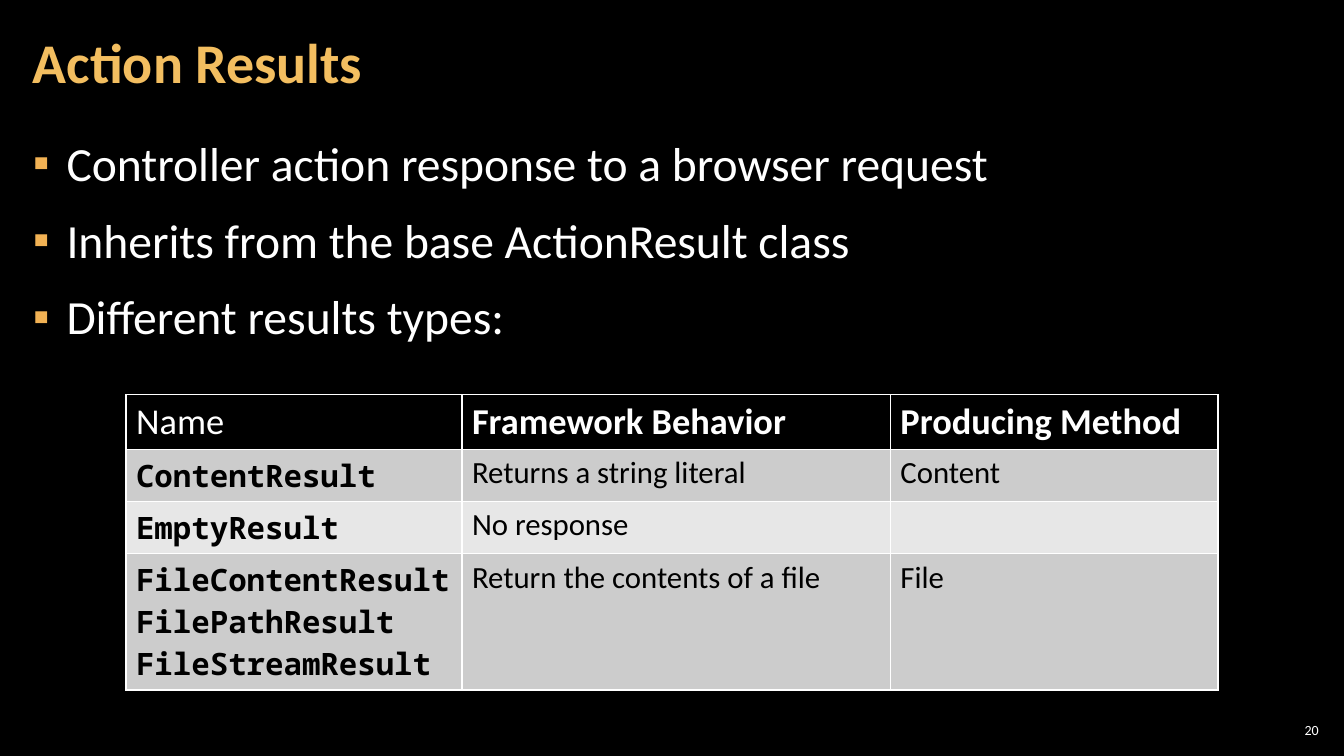
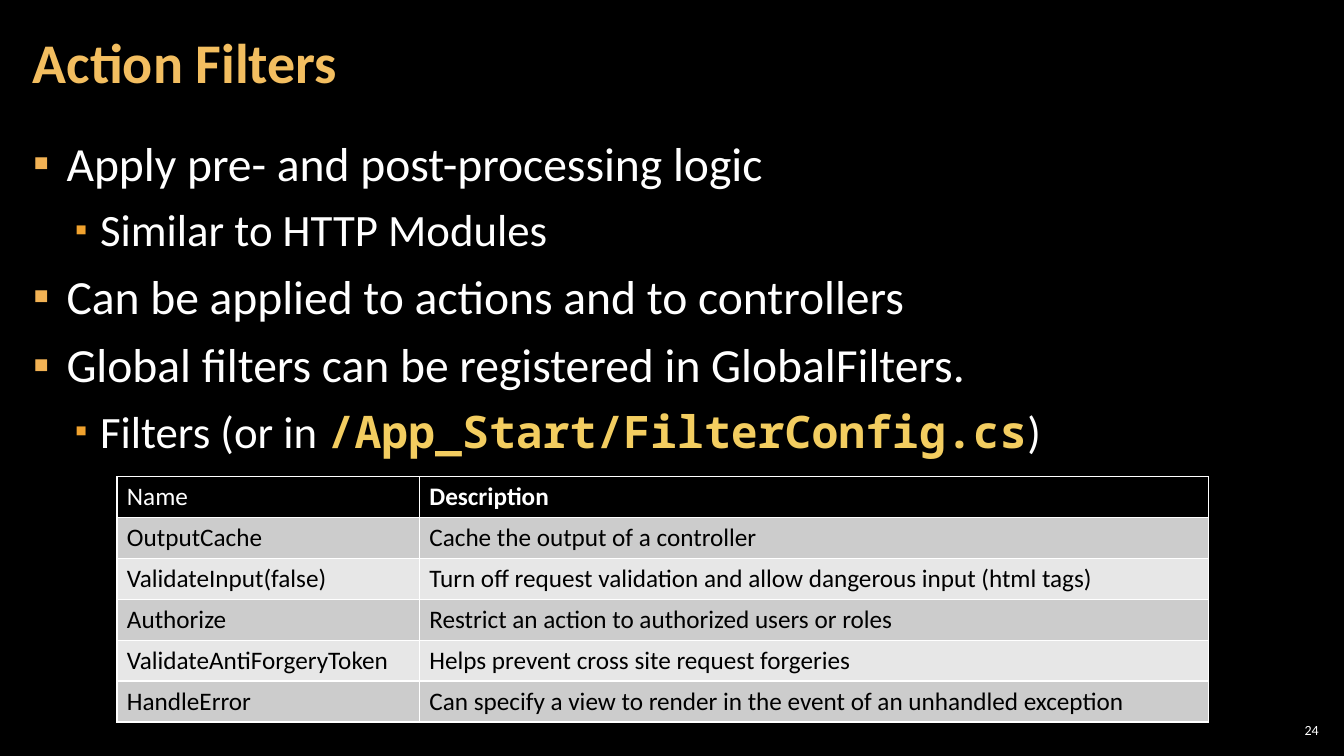
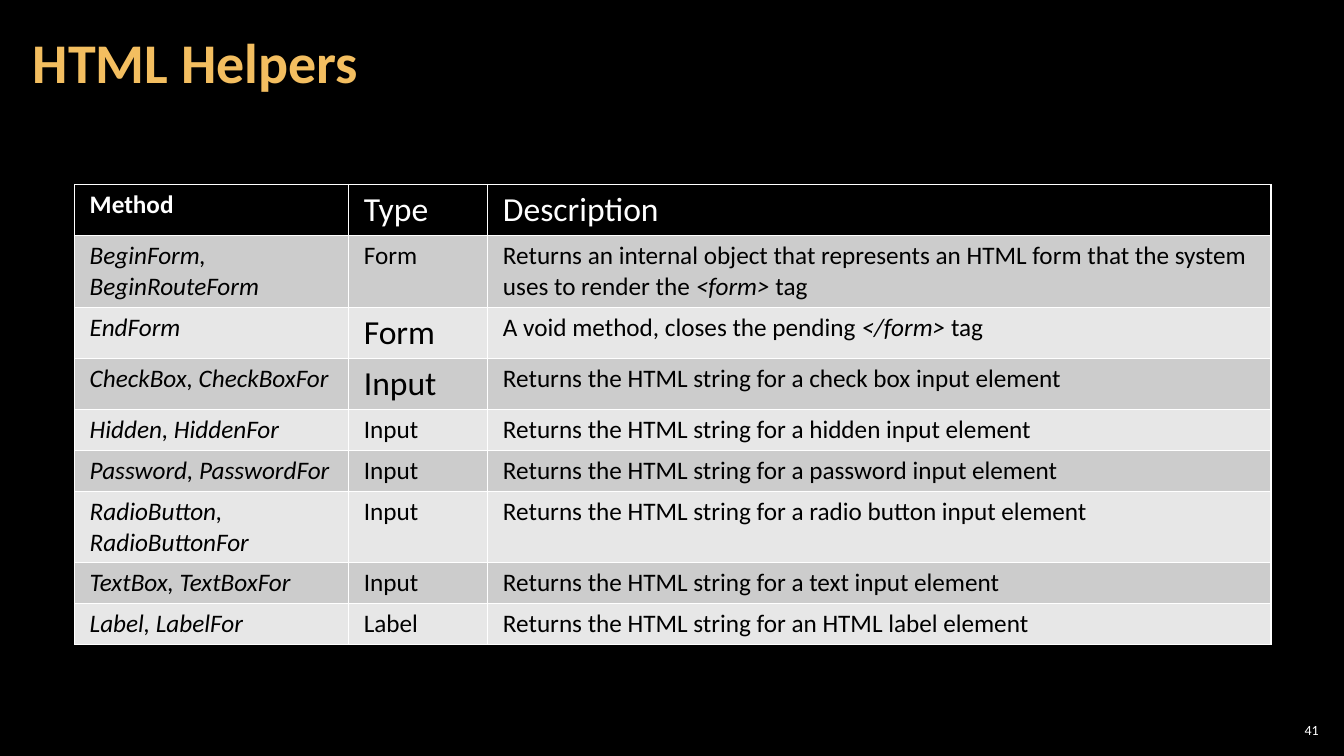
"""Build three slides about MVC action results, action filters and HTML helpers."""
from dataclasses import dataclass, replace

from lxml.etree import SubElement
from pptx import Presentation
from pptx.dml.color import RGBColor
from pptx.enum.text import MSO_ANCHOR as Anchor, MSO_AUTO_SIZE as AutoSize, PP_ALIGN as Align
from pptx.oxml.ns import qn
from pptx.util import Pt

BLACK, WHITE = "000000", "FFFFFF"
TITLE_GOLD, CODE_GOLD = "F3BE60", "F3CD60"
BANDS = ("CCCCCC", "E7E7E7")
SANS, MONO = "Calibri", "Noto Sans Mono"


@dataclass(frozen=True)
class Style:
    """Look of a run of text."""
    size: float
    color: str = WHITE
    bold: bool = False
    italic: bool = False
    font: str = SANS


@dataclass(frozen=True)
class Span:
    """Text in a single style."""
    text: str
    style: Style


Line = tuple[Span, ...]
Cell = tuple[Line, ...]


@dataclass(frozen=True)
class Level:
    """Indents, bullet and text size of a list level, in points."""
    margin: float
    hanging: float
    bullet_color: str
    bullet_percent: int
    style: Style


@dataclass(frozen=True)
class Bullet:
    """List item with its level."""
    level: int
    line: Line


@dataclass(frozen=True)
class Grid:
    """Table with its place and measures in points."""
    left: float
    top: float
    columns: tuple[float, ...]
    row_height: float
    rows: list[list[Cell]]
    padding: float = 7.2


@dataclass(frozen=True)
class Page:
    """Content of one slide."""
    title: str
    number: int
    grid: Grid
    bullets: tuple[Bullet, ...] = ()
    bullet_gap: float = 6


LEVELS = (
    Level(24, 24, "F2B254", 100, Style(34)),
    Level(48, 18, "F0A22E", 80, Style(32)),
)
TITLE = Style(40, TITLE_GOLD, bold=True)
NUMBER = Style(10)


def rgb(color: str) -> RGBColor:
    """Turn a hex string into a colour."""
    return RGBColor.from_string(color)


def cell(text: str, style: Style) -> Cell:
    """Make a cell with one paragraph per text line."""
    return tuple((Span(line, style),) for line in text.split("\n"))


def bullet(level: int, text: str) -> Bullet:
    """Make a list item in the plain style of its level."""
    return Bullet(level, (Span(text, LEVELS[level].style),))


def write(text_frame, lines: Cell) -> None:
    """Fill a text frame with styled paragraphs."""
    text_frame.text = "\n".join(line[0].text for line in lines)
    for paragraph, line in zip(text_frame.paragraphs, lines):
        for span in line[1:]:
            paragraph.add_run().text = span.text
        for run, span in zip(paragraph.runs, line):
            font = run.font
            font.name, font.size = span.style.font, Pt(span.style.size)
            font.bold, font.italic = span.style.bold, span.style.italic
            font.color.rgb = rgb(span.style.color)


def place(shape, left: float, top: float, width: float, height: float,
          inset: float, anchor: Anchor) -> None:
    """Set the place of a text shape and the layout of its frame."""
    shape.left, shape.top = Pt(left), Pt(top)
    shape.width, shape.height = Pt(width), Pt(height)
    frame = shape.text_frame
    frame.margin_left = frame.margin_right = Pt(inset)
    frame.margin_top = frame.margin_bottom = Pt(3)
    frame.vertical_anchor = anchor
    frame.word_wrap = True
    frame.auto_size = AutoSize.NONE


def add_title(slide, text: str) -> None:
    """Fill the title placeholder."""
    shape = slide.shapes.title
    place(shape, 15, 3, 754, 87, 8.5, Anchor.MIDDLE)
    write(shape.text_frame, cell(text, TITLE))
    paragraph = shape.text_frame.paragraphs[0]
    paragraph.alignment = Align.LEFT
    paragraph.line_spacing = 0.9


def add_number(slide, number: int) -> None:
    """Put the page number in the bottom right corner."""
    shape = slide.shapes.add_textbox(0, 0, 0, 0)
    place(shape, 911, 514, 34, 15, 3, Anchor.MIDDLE)
    write(shape.text_frame, cell(str(number), NUMBER))
    shape.text_frame.paragraphs[0].alignment = Align.RIGHT


def set_bullet(paragraph, level: Level) -> None:
    """Give a paragraph its indent and square bullet."""
    properties = paragraph._p.get_or_add_pPr()
    properties.set("marL", str(Pt(level.margin)))
    properties.set("indent", str(-Pt(level.hanging)))
    color = SubElement(properties, qn("a:buClr"))
    SubElement(color, qn("a:srgbClr"), val=level.bullet_color)
    SubElement(properties, qn("a:buSzPct"), val=str(level.bullet_percent * 1000))
    SubElement(properties, qn("a:buChar"), char="▪")


def add_bullets(slide, bullets: tuple[Bullet, ...], gap: float) -> None:
    """Fill the body placeholder with a two-level list."""
    shape = slide.placeholders[1]
    place(shape, 15, 90.5, 929.5, 438.5, 8.5, Anchor.TOP)
    write(shape.text_frame, tuple(item.line for item in bullets))
    for paragraph, item in zip(shape.text_frame.paragraphs, bullets):
        paragraph.level = item.level
        paragraph.alignment = Align.LEFT
        paragraph.line_spacing = 1.05
        paragraph.space_before = paragraph.space_after = Pt(gap)
        set_bullet(paragraph, LEVELS[item.level])


def set_borders(table_cell) -> None:
    """Draw thin white lines around a table cell."""
    properties = table_cell._tc.get_or_add_tcPr()
    for side in ("lnL", "lnR", "lnT", "lnB"):
        line = SubElement(properties, qn(f"a:{side}"), w=str(Pt(1)))
        fill = SubElement(line, qn("a:solidFill"))
        SubElement(fill, qn("a:srgbClr"), val=WHITE)


def add_grid(slide, grid: Grid) -> None:
    """Add a table with a black header and grey bands."""
    count = len(grid.rows)
    table = slide.shapes.add_table(
        count, len(grid.columns), Pt(grid.left), Pt(grid.top),
        Pt(sum(grid.columns)), Pt(grid.row_height * count)).table
    for column, width in zip(table.columns, grid.columns):
        column.width = Pt(width)
    for index, (row, contents) in enumerate(zip(table.rows, grid.rows)):
        row.height = Pt(grid.row_height)
        for table_cell, content in zip(row.cells, contents):
            set_borders(table_cell)
            table_cell.fill.solid()
            table_cell.fill.fore_color.rgb = rgb(BANDS[(index - 1) % 2] if index else BLACK)
            table_cell.margin_left = table_cell.margin_right = Pt(grid.padding)
            write(table_cell.text_frame, content)


def styled_rows(rows: list[tuple[str, ...]], header: Style, first: Style,
                body: Style) -> list[list[Cell]]:
    """Style a table by header row, first column and remaining cells."""
    heading, *records = rows
    result = [[cell(text, replace(header, bold=index > 0))
               for index, text in enumerate(heading)]]
    for name, *details in records:
        result.append([cell(name, first)] + [cell(text, body) for text in details])
    return result


def results_grid() -> Grid:
    """Make the table of action result types."""
    rows = [
        ("Name", "Framework Behavior", "Producing Method"),
        ("ContentResult", "Returns a string literal", "Content"),
        ("EmptyResult", "No response", ""),
        ("FileContentResult\nFilePathResult\nFileStreamResult",
         "Return the contents of a file", "File"),
    ]
    body = Style(22, BLACK)
    code = replace(body, bold=True, font=MONO)
    return Grid(90, 282, (240, 306, 234), 32.4, styled_rows(rows, Style(26), code, body))


def filters_grid() -> Grid:
    """Make the table of action filters."""
    rows = [
        ("Name", "Description"),
        ("OutputCache", "Cache the output of a controller"),
        ("ValidateInput(false)",
         "Turn off request validation and allow dangerous input (html tags)"),
        ("Authorize", "Restrict an action to authorized users or roles"),
        ("ValidateAntiForgeryToken", "Helps prevent cross site request forgeries"),
        ("HandleError", "Can specify a view to render in the event of an unhandled exception"),
    ]
    body = Style(18, BLACK)
    return Grid(83.5, 340.5, (216, 564), 29.2, styled_rows(rows, Style(18), body, body))


def helpers_grid() -> Grid:
    """Make the table of HTML helper methods."""
    body, large = Style(18, BLACK), Style(24, BLACK)
    italic = replace(body, italic=True)

    def tagged(text: str, tag: str) -> Cell:
        """Make a description that ends with an italic tag name."""
        return ((Span(text, body), Span(f"{tag} ", italic), Span("tag", body)),)

    def element(name: str) -> Cell:
        """Make the description of a helper that returns an element."""
        return cell(f"Returns the HTML string for {name} element", body)

    records = [
        ("BeginForm,\nBeginRouteForm", "Form", body,
         tagged("Returns an internal object that represents an HTML form "
                "that the system uses to render the ", "<form>")),
        ("EndForm", "Form", large, tagged("A void method, closes the pending ", "</form>")),
        ("CheckBox, CheckBoxFor", "Input", large, element("a check box input")),
        ("Hidden, HiddenFor", "Input", body, element("a hidden input")),
        ("Password, PasswordFor", "Input", body, element("a password input")),
        ("RadioButton,\nRadioButtonFor", "Input", body, element("a radio button input")),
        ("TextBox, TextBoxFor", "Input", body, element("a text input")),
        ("Label, LabelFor", "Label", body, element("an HTML label")),
    ]
    rows = [[cell("Method", Style(18, bold=True)),
             cell("Type", Style(24)), cell("Description", Style(24))]]
    rows += [[cell(method, italic), cell(kind, style), description]
             for method, kind, style, description in records]
    return Grid(53.3, 131.8, (195.8, 99.4, 559.4), 29.2, rows, padding=10.8)


def make_pages() -> list[Page]:
    """List the slides in order."""
    sub_style = LEVELS[1].style
    code = replace(sub_style, color=CODE_GOLD, bold=True, font=MONO)
    result_bullets = (
        bullet(0, "Controller action response to a browser request"),
        bullet(0, "Inherits from the base ActionResult class"),
        bullet(0, "Different results types:"),
    )
    filter_bullets = (
        bullet(0, "Apply pre- and post-processing logic"),
        bullet(1, "Similar to HTTP Modules"),
        bullet(0, "Can be applied to actions and to controllers"),
        bullet(0, "Global filters can be registered in GlobalFilters."),
        Bullet(1, (Span("Filters (or in ", sub_style),
                   Span("/App_Start/FilterConfig.cs", code),
                   Span(")", sub_style))),
    )
    return [
        Page("Action Results", 20, results_grid(), result_bullets),
        Page("Action Filters", 24, filters_grid(), filter_bullets, bullet_gap=3),
        Page("HTML Helpers", 41, helpers_grid()),
    ]


def main() -> None:
    """Build and save the presentation."""
    presentation = Presentation()
    presentation.slide_width, presentation.slide_height = Pt(960), Pt(540)
    background = presentation.slide_master.background.fill
    background.solid()
    background.fore_color.rgb = rgb(BLACK)
    content_layout, title_layout = (presentation.slide_layouts[index] for index in (1, 5))
    for page in make_pages():
        slide = presentation.slides.add_slide(content_layout if page.bullets else title_layout)
        add_title(slide, page.title)
        if page.bullets:
            add_bullets(slide, page.bullets, page.bullet_gap)
        add_grid(slide, page.grid)
        add_number(slide, page.number)
    presentation.save("out.pptx")


if __name__ == "__main__":
    main()
